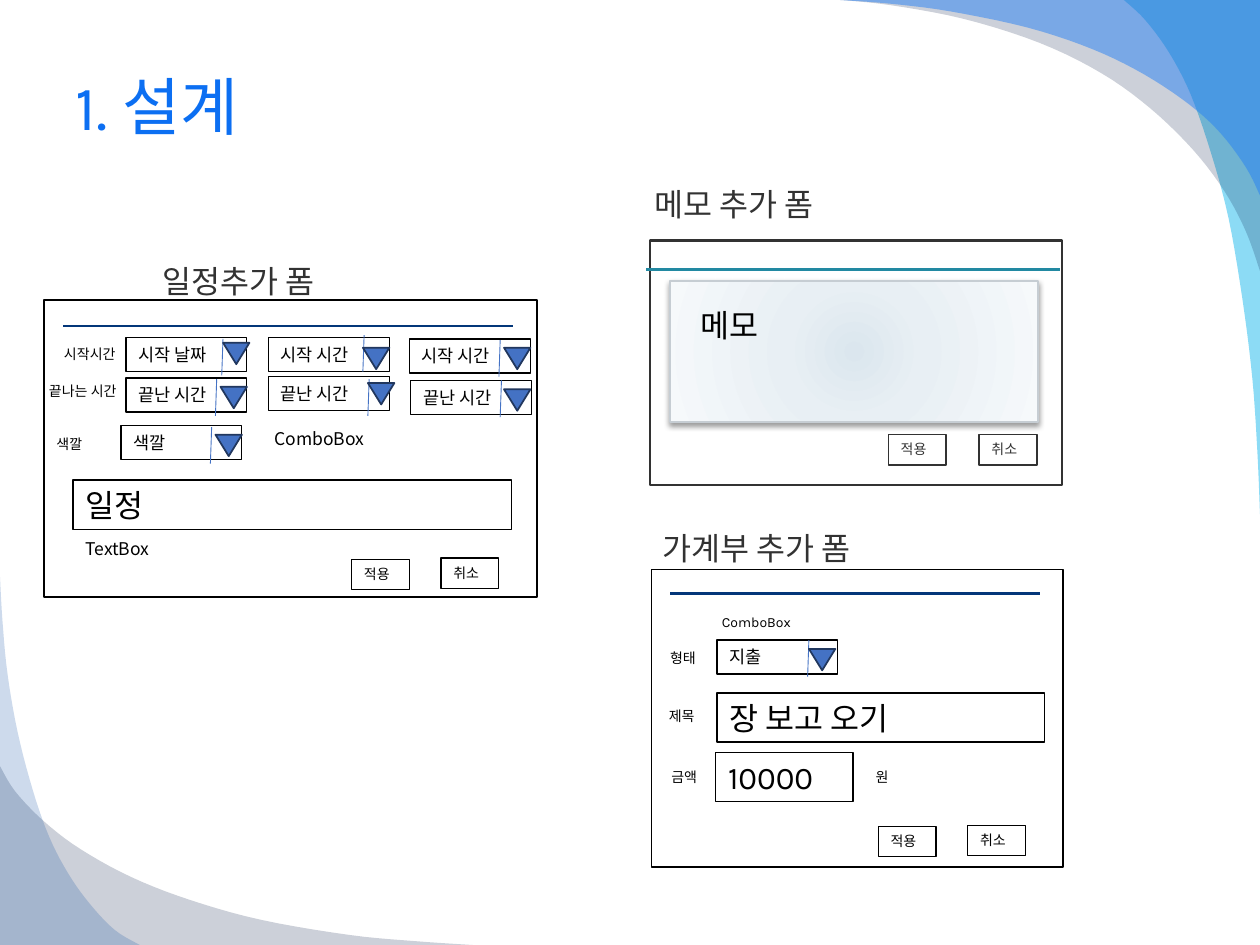
import pptx
import pptx.util
import pptx.dml.color
import pptx.enum.shapes
import pptx.enum.text
import pptx.oxml
import pptx.oxml.ns

Inches = pptx.util.Inches
Pt = pptx.util.Pt
Shape = pptx.enum.shapes.MSO_SHAPE
Fit = pptx.enum.text.MSO_AUTO_SIZE
Anchor = pptx.enum.text.MSO_ANCHOR


class Theme:
    latin, hangul = "Karla", "Noto Sans CJK KR"
    title, head, body, small = 36, 18, 10, 8
    blue, ink, black, white = "0C6FF2", "323232", "000000", "FFFFFF"
    rule, thin, split = "033679", "2289A2", "4472C4"
    arrow, edge, rim = "4472C4", "21375E", "C6CDD3"
    cyan, navy, sky, deep = "00B1E9", "021741", "247FF4", "084AA1"
    glow = [(0, "DBE6EE"), (35, "E8EFF4"), (100, "F6F9FB")]


TITLE = "1. 설계"
WEDGES = [
    (Theme.cyan, 45, (10, 0), [(8.92, 0), (9.09, 0.16), (9.28, 0.42), (9.45, 0.75),
     (9.61, 1.21), (9.75, 1.73), (9.86, 2.37), (9.94, 3.01), (9.98, 3.6), (10, 4.08)]),
    (Theme.navy, 20, (10, 0), [(10, 2.15), (9.89, 1.84), (9.72, 1.52), (9.47, 1.19),
     (9.13, 0.86), (8.74, 0.58), (8.25, 0.34), (7.65, 0.15), (7.06, 0.04), (6.67, 0)]),
    (Theme.sky, 49, (10, 0), [(10, 1.55), (9.89, 1.33), (9.69, 1.06), (9.44, 0.83),
     (9.08, 0.59), (8.67, 0.39), (8.16, 0.22), (7.54, 0.09), (7.07, 0.03), (6.67, 0)]),
    (Theme.navy, 20, (0, 7.5), [(0, 6.08), (0.12, 6.28), (0.35, 6.52), (0.64, 6.74),
     (1.04, 6.96), (1.5, 7.14), (2.07, 7.3), (2.77, 7.42), (3.3, 7.47), (3.75, 7.5)]),
    (Theme.deep, 20, (0, 7.5), [(1.11, 7.5), (0.91, 7.38), (0.71, 7.17), (0.54, 6.93),
     (0.39, 6.64), (0.26, 6.27), (0.14, 5.81), (0.06, 5.35), (0.02, 4.93), (0, 4.58)]),
]
HEADS = [
    (1.19, 2.03, "일정추가 폼"),
    (5.1, 1.42, "메모 추가 폼"),
    (5.16, 4.15, "가계부 추가 폼"),
]
FRAMES = [
    (5.16, 1.91, 3.27, 1.94, Theme.ink, 1.5),
    (0.35, 2.38, 3.91, 2.36, Theme.black, 1),
    (5.17, 4.52, 3.27, 2.36, Theme.black, 1),
]
RULES = [
    (5.13, 8.41, 2.14, Theme.thin, 0),
    (0.5, 4.07, 2.59, Theme.rule, 1.25),
    (5.32, 8.25, 4.71, Theme.rule, 1.25),
]
BUTTONS = [
    (7.05, 3.45, "적용", Theme.ink),
    (7.77, 3.45, "취소", Theme.ink),
    (2.79, 4.44, "적용", Theme.black),
    (3.5, 4.43, "취소", Theme.black),
    (6.97, 6.56, "적용", Theme.black),
    (7.68, 6.55, "취소", Theme.black),
]
FIELDS = [
    (0.58, 3.81, 3.48, "일정"),
    (5.69, 5.5, 2.6, "장 보고 오기"),
    (5.68, 5.97, 1.09, "10000"),
]
LABELS = [
    (0.41, 2.69, 0.67, "시작시간", Theme.small, Theme.latin),
    (0.29, 2.99, 0.83, "끝나는 시간", Theme.small, Theme.latin),
    (0.35, 3.41, 0.47, "색깔", Theme.small, Theme.latin),
    (2.08, 3.35, 1.42, "ComboBox", Theme.body, Theme.hangul),
    (0.58, 4.22, 1.42, "TextBox", Theme.body, Theme.hangul),
    (5.63, 4.82, 0.98, "ComboBox", Theme.small, Theme.latin),
    (5.22, 5.11, 0.47, "형태", Theme.small, Theme.latin),
    (5.21, 5.57, 0.71, "제목", Theme.small, Theme.hangul),
    (5.23, 6.05, 0.69, "금액", Theme.small, Theme.hangul),
    (6.85, 6.05, 0.69, "원", Theme.small, Theme.hangul),
]
COMBOS = [
    ((1, 2.68), "시작 날짜", (1.77, 2.69), (1.77, 2.72)),
    ((2.13, 2.68), "시작 시간", (2.89, 2.66), (2.88, 2.76)),
    ((3.25, 2.69), "시작 시간", (3.97, 2.7), (4, 2.76)),
    ((1, 3), "끝난 시간", (1.72, 3.01), (1.75, 3.07)),
    ((2.13, 2.99), "끝난 시간", (2.93, 3.01), (2.92, 3.04)),
    ((3.26, 3.02), "끝난 시간", (3.98, 3.02), (4, 3.09)),
    ((0.96, 3.38), "색깔", (1.68, 3.39), (1.71, 3.45)),
    ((5.69, 5.08), "지출", (6.42, 5.08), (6.42, 5.15)),
]
NS = pptx.oxml.ns.nsdecls("a")


def tint(hue):
    return pptx.dml.color.RGBColor.from_string(hue)


def write(shape, text, size, hue, font=Theme.latin, fit=Fit.SHAPE_TO_FIT_TEXT, anchor=Anchor.TOP):
    frame = shape.text_frame
    frame.word_wrap = True
    frame.auto_size = fit
    frame.vertical_anchor = anchor
    line = frame.paragraphs[0]
    line.text = text
    line.alignment = pptx.enum.text.PP_ALIGN.LEFT
    line.font.name = font
    line.font.size = Pt(size)
    line.font.color.rgb = tint(hue)


def paint(shape, fill, edge, width):
    shape.shadow.inherit = False
    if fill:
        shape.fill.solid()
        shape.fill.fore_color.rgb = tint(fill)
    else:
        shape.fill.background()
    if edge:
        shape.line.color.rgb = tint(edge)
        shape.line.width = Pt(width)
    else:
        shape.line.fill.background()


def box(x, y, w, h, edge, width=0.75, fill=None, kind=Shape.RECTANGLE):
    shape = shapes.add_shape(kind, Inches(x), Inches(y), Inches(w), Inches(h))
    paint(shape, fill, edge, width)
    return shape


def label(x, y, w, h, *style):
    write(shapes.add_textbox(Inches(x), Inches(y), Inches(w), Inches(h)), *style)


def stroke(x1, y1, x2, y2, hue, width):
    line = shapes.add_connector(pptx.enum.shapes.MSO_CONNECTOR.STRAIGHT,
                                Inches(x1), Inches(y1), Inches(x2), Inches(y2))
    line.line.color.rgb = tint(hue)
    line.line.width = Pt(width)
    line._element.spPr.append(pptx.oxml.parse_xml(f"<a:effectLst {NS}/>"))


def smooth(dots, steps=5):
    ends = [dots[0], *dots, dots[-1]]
    for a, b, c, d in zip(ends, ends[1:], ends[2:], ends[3:]):
        for step in range(steps):
            t = step / steps
            yield tuple(q + t * (r - p) / 2 + t * t * (2 * p - 5 * q + 4 * r - s) / 2
                        + t ** 3 * (3 * q - p - 3 * r + s) / 2
                        for p, q, r, s in zip(a, b, c, d))
    yield dots[-1]


def wedge(hue, alpha, corner, dots):
    pen = shapes.build_freeform(Inches(corner[0]), Inches(corner[1]))
    pen.add_line_segments([(Inches(x), Inches(y)) for x, y in smooth(dots)])
    shape = pen.convert_to_shape()
    paint(shape, hue, None, 0)
    shade = shape._element.spPr.find(".//" + pptx.oxml.ns.qn("a:srgbClr"))
    shade.append(pptx.oxml.parse_xml(f'<a:alpha {NS} val="{alpha * 1000}"/>'))


def memo():
    shape = box(5.32, 2.23, 2.92, 1.12, Theme.rim, 1.25)
    props = shape._element.spPr
    stops = "".join(f'<a:gs pos="{at * 1000}"><a:srgbClr val="{hue}"/></a:gs>'
                    for at, hue in Theme.glow)
    glow = pptx.oxml.parse_xml(
        f'<a:gradFill {NS}><a:gsLst>{stops}</a:gsLst><a:path path="circle">'
        '<a:fillToRect l="100000" t="100000" r="100000" b="100000"/></a:path></a:gradFill>')
    props.replace(props.find(pptx.oxml.ns.qn("a:noFill")), glow)
    props.find(pptx.oxml.ns.qn("a:effectLst")).append(pptx.oxml.parse_xml(
        f'<a:outerShdw {NS} blurRad="{Pt(3.1)}" dist="{Pt(1.6)}" dir="5400000" rotWithShape="0">'
        f'<a:srgbClr val="{Theme.black}"><a:alpha val="38000"/></a:srgbClr></a:outerShdw>'))
    label(5.46, 2.38, 1.37, 0.4, "메모", Theme.head, Theme.black)


def combo(spot, text, split, arrow):
    write(box(*spot, 0.96, 0.27, Theme.black), text, Theme.body, Theme.black)
    x, y = split
    stroke(x, y, x - 0.01, y + 0.29, Theme.split, 0.5)
    box(*arrow, 0.21, 0.17, Theme.edge, 1, Theme.arrow, Shape.ISOSCELES_TRIANGLE).rotation = 180


deck = pptx.Presentation()
deck.slide_width, deck.slide_height = Inches(10), Inches(7.5)
slide = deck.slides.add_slide(deck.slide_layouts[5])
shapes = slide.shapes

for item in WEDGES:
    wedge(*item)

title = shapes.title
title.left, title.top, title.width, title.height = map(Inches, (0.5, 0.33, 9, 1.01))
write(title, TITLE, Theme.title, Theme.blue, fit=Fit.NONE, anchor=Anchor.MIDDLE)
shapes._spTree.append(title._element)

for x, y, text in HEADS:
    label(x, y, 2.54, 0.39, text, Theme.head, Theme.ink)
for x, y, w, h, edge, width in FRAMES:
    box(x, y, w, h, edge, width, Theme.white)
for left, right, y, hue, width in RULES:
    stroke(left, y, right, y, hue, width)
for x, y, text, hue in BUTTONS:
    write(box(x, y, 0.46, 0.24, hue), text, Theme.small, hue)
for x, y, w, text in FIELDS:
    write(box(x, y, w, 0.39, Theme.black), text, Theme.head, Theme.black)
for x, y, w, text, size, font in LABELS:
    label(x, y, w, 0.23, text, size, Theme.black, font)
for item in COMBOS:
    combo(*item)
memo()

deck.save("out.pptx")
